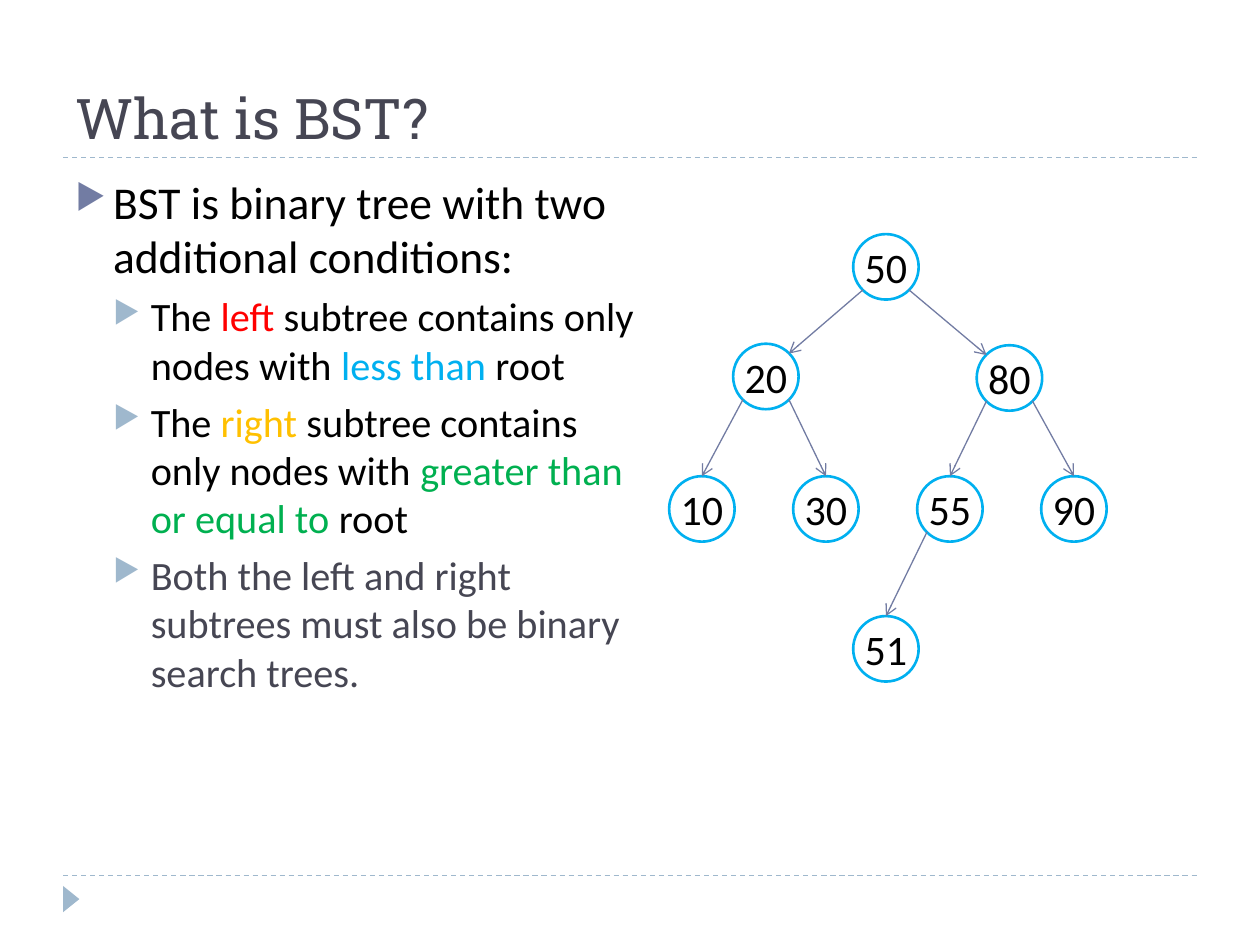
"""Build a slide that explains binary search trees."""
import lxml.etree
import pptx
import pptx.dml.color
import pptx.enum.dml
import pptx.enum.shapes
import pptx.enum.text
import pptx.oxml.ns
import pptx.util

Cm = pptx.util.Cm
Pt = pptx.util.Pt
qn = pptx.oxml.ns.qn
SHAPE = pptx.enum.shapes.MSO_SHAPE
ANCHOR = pptx.enum.text.MSO_ANCHOR
ALIGN = pptx.enum.text.PP_ALIGN

TITLE = "What is BST?"
BLACK, GREY, SLATE, PALE, SKY = "000000", "464653", "727CA3", "9FB8CD", "00B0F0"
POINTS = [
    (0, [("BST is binary tree with two additional conditions:", BLACK)]),
    (1, [("The ", BLACK), ("left ", "FF0000"),
         ("subtree contains only nodes with ", BLACK),
         ("less than ", SKY), ("root", BLACK)]),
    (1, [("The ", BLACK), ("right ", "FFC000"),
         ("subtree contains only nodes with ", BLACK),
         ("greater than or equal to ", "00B050"), ("root", BLACK)]),
    (1, [("Both the left and right subtrees must also be binary search trees.", GREY)]),
]
LEVELS = [(26, 6, SLATE), (23, 5, PALE)]
SIZE = 1.32
NODES = {"50": (17.2, 4.72), "20": (14.78, 6.93), "80": (19.69, 6.96), "51": (17.2, 12.42)}
NODES.update({leaf: (13.49 + 2.5 * i, 9.6) for i, leaf in enumerate(["10", "30", "55", "90"])})
SITES = {"top": (0.5, 0), "top left": (0.15, 0.15), "top right": (0.85, 0.15),
         "low left": (0.15, 0.85), "low right": (0.85, 0.85)}
EDGES = [
    ("50", "low left", "20", "top right"), ("50", "low right", "80", "top left"),
    ("20", "low left", "10", "top"), ("20", "low right", "30", "top"),
    ("80", "low left", "55", "top"), ("80", "low right", "90", "top"),
    ("55", "low left", "51", "top"),
]


def tint(hue):
    return pptx.dml.color.RGBColor.from_string(hue)


def add_run(para, text, size, hue, face="Calibri"):
    run = para.add_run()
    run.text = text
    run.font.size = Pt(size)
    run.font.name = face
    run.font.color.rgb = tint(hue)


def add_line(start, end, hue):
    line = slide.shapes.add_connector(
        pptx.enum.shapes.MSO_CONNECTOR.STRAIGHT, *[Cm(n) for n in start + end])
    line.line.color.rgb = tint(hue)
    line.line.width = Pt(0.75)
    lxml.etree.SubElement(line._element.spPr, qn("a:effectLst"))
    return line


def add_bullet(para, level, hue):
    props = para._p.get_or_add_pPr()
    props.set("marL", str(Cm(0.76 * (level + 1))))
    props.set("indent", str(Cm(-0.76)))
    color = lxml.etree.SubElement(props, qn("a:buClr"))
    lxml.etree.SubElement(color, qn("a:srgbClr"), val=hue)
    lxml.etree.SubElement(props, qn("a:buSzPct"), val="76000")
    lxml.etree.SubElement(props, qn("a:buChar"), char="▶")


def site(node, name):
    return tuple(at + SIZE * part for at, part in zip(NODES[node], SITES[name]))


deck = pptx.Presentation()
deck.slide_width, deck.slide_height = Cm(25.4), Cm(19.05)
slide = deck.slides.add_slide(deck.slide_layouts[5])

for top in (17.65, 3.18):
    rule = add_line((1.27, top), (24.13, top), PALE)
    rule.line.dash_style = pptx.enum.dml.MSO_LINE.DASH

mark = slide.shapes.add_shape(SHAPE.ISOSCELES_TRIANGLE, Cm(1.17), Cm(17.96), Cm(0.53), Cm(0.33))
mark.rotation = 90
mark.shadow.inherit = False
mark.fill.solid()
mark.fill.fore_color.rgb = tint(PALE)
mark.line.fill.background()

title = slide.shapes.title
title.left, title.top, title.width, title.height = Cm(1.27), Cm(0.43), Cm(22.86), Cm(2.74)
frame = title.text_frame
frame.auto_size = pptx.enum.text.MSO_AUTO_SIZE.NONE
frame.vertical_anchor = ANCHOR.BOTTOM
frame.paragraphs[0].alignment = ALIGN.LEFT
add_run(frame.paragraphs[0], TITLE, 32, GREY, "Roboto Slab")

frame = slide.shapes.add_textbox(Cm(1.27), Cm(3.38), Cm(12.22), Cm(13.72)).text_frame
frame.word_wrap = True
for i, (level, runs) in enumerate(POINTS):
    para = frame.add_paragraph() if i else frame.paragraphs[0]
    size, gap, hue = LEVELS[level]
    para.level = level
    para.space_before = Pt(gap)
    add_bullet(para, level, hue)
    for text, color in runs:
        add_run(para, text, size, color)

for label, (left, top) in NODES.items():
    node = slide.shapes.add_shape(SHAPE.OVAL, Cm(left), Cm(top), Cm(SIZE), Cm(SIZE))
    node.shadow.inherit = False
    node.fill.background()
    node.line.color.rgb = tint(SKY)
    node.line.width = Pt(1.5)
    frame = node.text_frame
    frame.margin_left = frame.margin_right = frame.margin_top = frame.margin_bottom = 0
    frame.vertical_anchor = ANCHOR.MIDDLE
    frame.word_wrap = False
    frame.paragraphs[0].alignment = ALIGN.CENTER
    add_run(frame.paragraphs[0], label, 24, BLACK)

for parent, start, child, end in EDGES:
    edge = add_line(site(parent, start), site(child, end), SLATE)
    lxml.etree.SubElement(edge.line._get_or_add_ln(), qn("a:tailEnd"), type="arrow")

deck.save("out.pptx")
